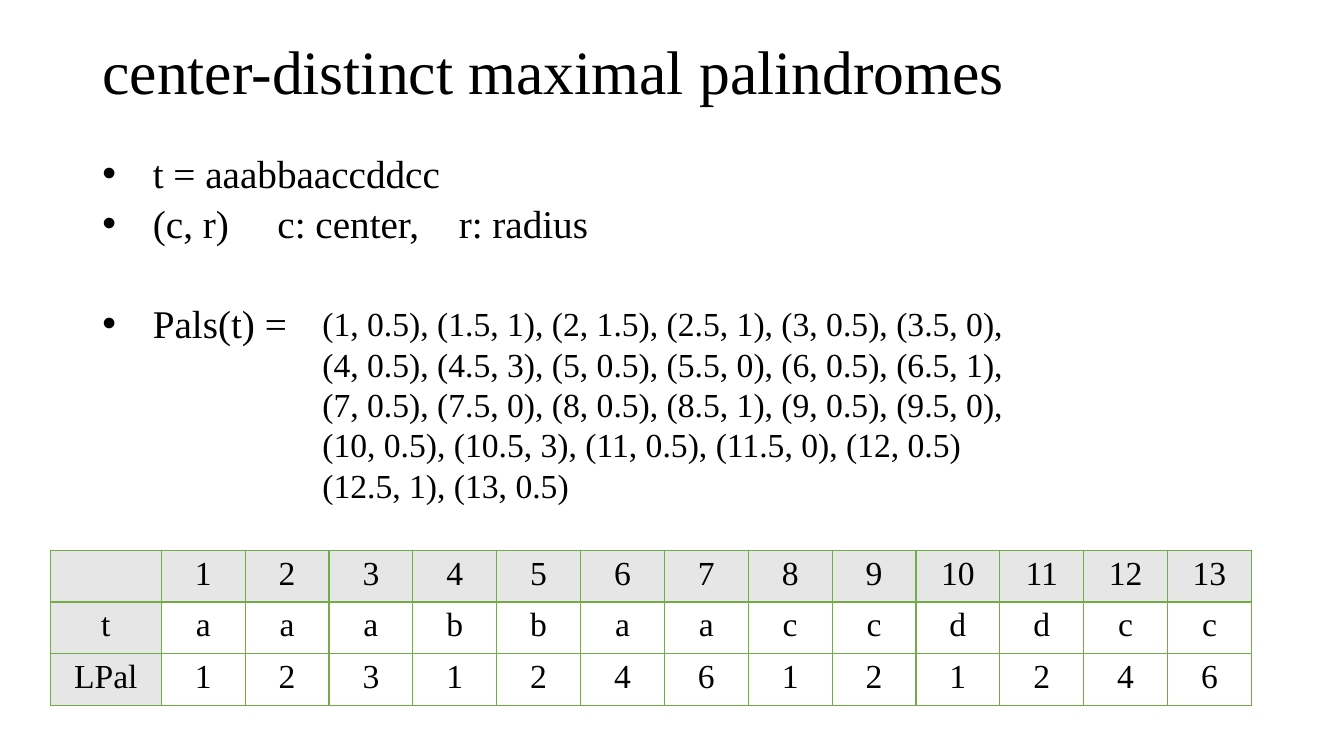
from lxml import etree
from pptx import Presentation
from pptx.dml.color import RGBColor
from pptx.enum import text as t
from pptx.oxml import ns
from pptx.util import Pt

FONT = "Times New Roman"
BLACK, GREEN, GREY = "000000", "70AD47", "E7E6E6"
WORD = "aaabbaaccddcc"
LPAL = [1, 2, 3, 1, 2, 4, 6, 1, 2, 1, 2, 4, 6]
PALS = [
    "(1, 0.5), (1.5, 1), (2, 1.5), (2.5, 1), (3, 0.5), (3.5, 0),",
    "(4, 0.5), (4.5, 3), (5, 0.5), (5.5, 0), (6, 0.5), (6.5, 1),",
    "(7, 0.5), (7.5, 0), (8, 0.5), (8.5, 1), (9, 0.5), (9.5, 0),",
    "(10, 0.5), (10.5, 3), (11, 0.5), (11.5, 0), (12, 0.5)",
    "(12.5, 1), (13, 0.5)",
]


def color(hex_string):
    return RGBColor.from_string(hex_string)


def add_el(parent, tag, **attrs):
    el = etree.SubElement(parent, ns.qn(tag))
    for name, value in attrs.items():
        el.set(name, str(value))
    return el


def style(p, size):
    for r in p.runs:
        r.font.name, r.font.size = FONT, Pt(size)
        r.font.color.rgb = color(BLACK)


def place(sp, box):
    sp.left, sp.top, sp.width, sp.height = (Pt(v) for v in box)


def fill_title(sp, box):
    place(sp, box)
    tf = sp.text_frame
    tf.text = "center-distinct maximal palindromes"
    tf.auto_size = t.MSO_AUTO_SIZE.NONE
    tf.vertical_anchor = t.MSO_ANCHOR.MIDDLE
    p = tf.paragraphs[0]
    p.alignment, p.line_spacing = t.PP_ALIGN.LEFT, 0.9
    style(p, 44)


def bullet(p, tabs):
    """Hang a round bullet half an inch out and set the tab stops."""
    pPr = p._p.get_or_add_pPr()
    pPr.set("marL", str(Pt(36)))
    pPr.set("indent", str(Pt(-36)))
    add_el(add_el(pPr, "a:buClr"), "a:srgbClr", val=BLACK)
    add_el(pPr, "a:buFont", typeface="Arial")
    add_el(pPr, "a:buChar", char="•")
    if tabs:
        tab_list = add_el(pPr, "a:tabLst")
        for pos in tabs:
            add_el(tab_list, "a:tab", pos=Pt(pos), algn="l")


def fill_body(sp, box):
    place(sp, box)
    tf = sp.text_frame
    tf.auto_size = t.MSO_AUTO_SIZE.NONE
    items = [
        ("t = " + WORD, 0, []),
        ("(c, r)\tc: center,\tr: radius", 5.6, [125, 254.5]),
        ("Pals(t) =", 41, []),
    ]
    tf.text = "\n".join(text for text, _, _ in items)
    for p, (_, before, tabs) in zip(tf.paragraphs, items):
        bullet(p, tabs)
        p.line_spacing, p.space_before = 0.9, Pt(before)
        style(p, 28)


def add_pals(s, box):
    tf = s.shapes.add_textbox(*(Pt(v) for v in box)).text_frame
    tf.word_wrap = True
    tf.text = "\n".join(PALS)
    for p in tf.paragraphs:
        style(p, 24)


def border(cell, bottom):
    tcPr = cell._tc.get_or_add_tcPr()
    widths = {"a:lnL": 1, "a:lnR": 1, "a:lnT": 1, "a:lnB": bottom}
    for i, (tag, width) in enumerate(widths.items()):
        ln = add_el(tcPr, tag, w=Pt(width))
        add_el(add_el(ln, "a:solidFill"), "a:srgbClr", val=GREEN)
        tcPr.insert(i, ln)


def add_lpal_table(s, box):
    rows = [["", *range(1, len(WORD) + 1)], ["t", *WORD], ["LPal", *LPAL]]
    left, top, width, height = box
    head_w = 79.2
    col_w = (width - head_w) / len(WORD)
    tbl = s.shapes.add_table(len(rows), len(rows[0]), *(Pt(v) for v in box)).table
    tbl.first_row = tbl.horz_banding = False
    for i, col in enumerate(tbl.columns):
        col.width = Pt(col_w if i else head_w)
    for i, values in enumerate(rows):
        tbl.rows[i].height = Pt(height / len(rows))
        for j, value in enumerate(values):
            cell = tbl.cell(i, j)
            cell.text = str(value)
            p = cell.text_frame.paragraphs[0]
            p.alignment = t.PP_ALIGN.CENTER
            style(p, 24)
            if i == 0 or j == 0:
                cell.fill.solid()
                cell.fill.fore_color.rgb = color(GREY)
            else:
                cell.fill.background()
            border(cell, bottom=1 if i else 2)


def main():
    prs = Presentation()
    prs.slide_width, prs.slide_height = Pt(960), Pt(540)
    s = prs.slides.add_slide(prs.slide_layouts[1])
    fill_title(s.shapes.title, (66, 1, 828, 104.4))
    fill_body(s.placeholders[1], (66, 106.6, 828, 380))
    add_lpal_table(s, (36, 393, 858.2, 111))
    add_pals(s, (223.2, 213, 531.4, 152.6))
    prs.save("out.pptx")


if __name__ == "__main__":
    main()
